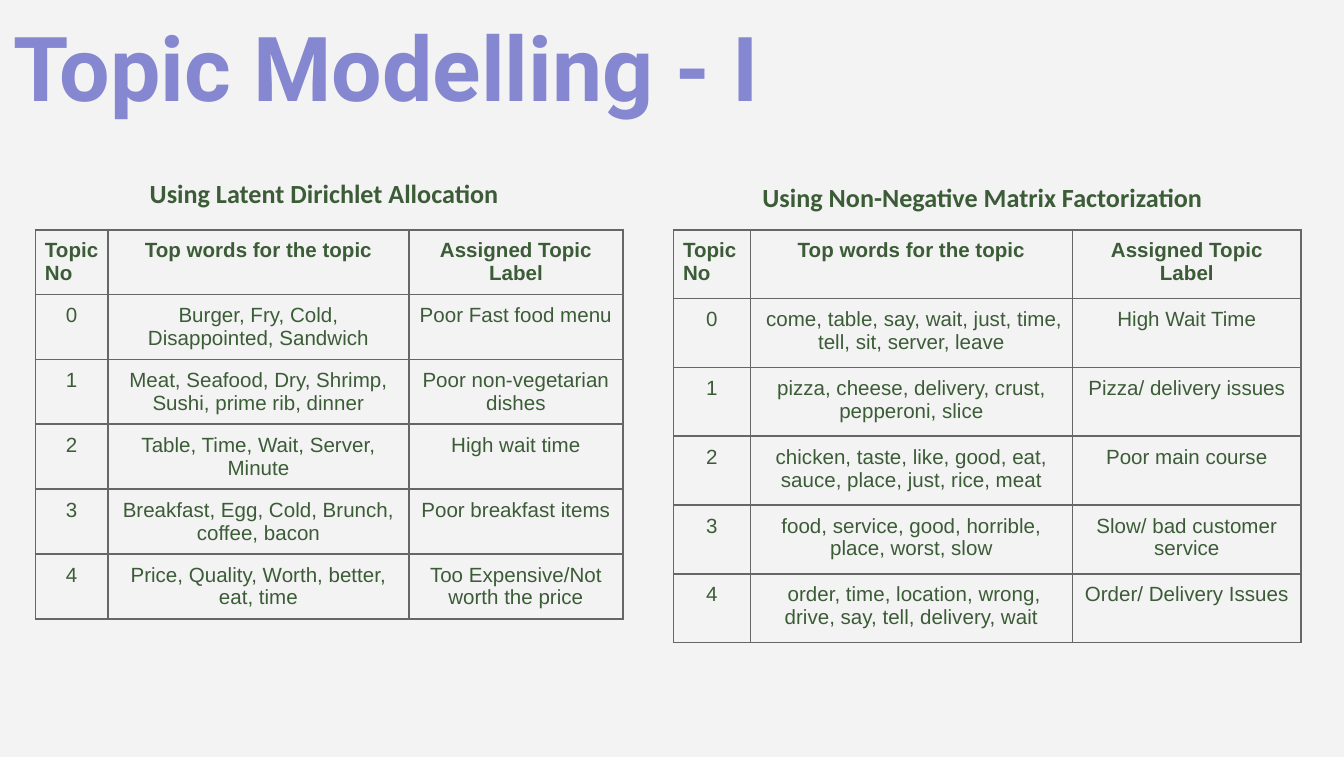
from dataclasses import dataclass

from lxml import etree
from pptx import Presentation
from pptx.dml.color import RGBColor
from pptx.enum.text import MSO_ANCHOR, MSO_AUTO_SIZE, PP_ALIGN
from pptx.oxml.ns import qn
from pptx.util import Cm, Pt

LEFT, CENTER = PP_ALIGN.LEFT, PP_ALIGN.CENTER
TOP, BOTTOM = MSO_ANCHOR.TOP, MSO_ANCHOR.BOTTOM
NO_AUTOFIT = MSO_AUTO_SIZE.NONE
TITLE_ONLY = 5

TITLE = "Topic Modelling - I"
HEADER = ("Topic No", "Top words for the topic", "Assigned Topic Label")
MODELS = [
    {
        "heading": "Using Latent Dirichlet Allocation",
        "heading_box": (2.58, 3.1, 7.29, 1.24),
        "table_left": 0.67,
        "columns": (1.37, 5.69, 4.04),
        "row_height": 0.79,
        "topics": [
            ("Burger, Fry, Cold, Disappointed, Sandwich", "Poor Fast food menu"),
            ("Meat, Seafood, Dry, Shrimp, Sushi, prime rib, dinner", "Poor non-vegetarian dishes"),
            ("Table, Time, Wait, Server, Minute", "High wait time"),
            ("Breakfast, Egg, Cold, Brunch, coffee, bacon", "Poor breakfast items"),
            ("Price, Quality, Worth, better, eat, time", "Too Expensive/Not worth the price"),
        ],
    },
    {
        "heading": "Using Non-Negative Matrix Factorization",
        "heading_box": (14.16, 3.18, 8.99, 1.07),
        "table_left": 12.73,
        "columns": (1.45, 6.09, 4.32),
        "row_height": 1.3,
        "topics": [
            (" come, table, say, wait, just, time, tell, sit, server, leave", "High Wait Time"),
            ("pizza, cheese, delivery, crust, pepperoni, slice", "Pizza/ delivery issues"),
            ("chicken, taste, like, good, eat, sauce, place, just, rice, meat", "Poor main course"),
            ("food, service, good, horrible, place, worst, slow", "Slow/ bad customer service"),
            (" order, time, location, wrong, drive, say, tell, delivery, wait", "Order/ Delivery Issues"),
        ],
    },
]
TABLE_TOP = 4.34


@dataclass(frozen=True)
class Theme:
    background: str = "F3F3F3"
    title: str = "8687D1"
    text: str = "3B5C36"
    border: str = "666666"
    border_width: int = 1
    title_font: str = "Roboto"
    heading_font: str = "Calibri"
    table_font: str = "Arial"
    title_size: int = 48
    heading_size: int = 14
    table_size: int = 11
    text_inset: float = 0.25
    cell_inset: float = 0.18


THEME = Theme()


def write(frame, text, font, size, color, bold=True, align=LEFT):
    paragraph = frame.paragraphs[0]
    paragraph.alignment = align
    run = paragraph.add_run()
    run.text = text
    run.font.name = font
    run.font.size = Pt(size)
    run.font.bold = bold
    run.font.color.rgb = RGBColor.from_string(color)


def set_insets(target, inset):
    target.margin_left = target.margin_right = Cm(inset)
    target.margin_top = target.margin_bottom = Cm(inset)


def format_frame(frame, anchor):
    frame.word_wrap = True
    frame.auto_size = NO_AUTOFIT
    frame.vertical_anchor = anchor
    set_insets(frame, THEME.text_inset)


def add_borders(cell):
    properties = cell._tc.get_or_add_tcPr()
    for side in ("a:lnL", "a:lnR", "a:lnT", "a:lnB"):
        line = etree.SubElement(properties, qn(side), w=str(Pt(THEME.border_width)))
        fill = etree.SubElement(line, qn("a:solidFill"))
        etree.SubElement(fill, qn("a:srgbClr"), val=THEME.border)


def add_title(slide, width):
    title = slide.shapes.title
    title.left, title.top, title.width, title.height = 0, 0, width, Cm(2.51)
    format_frame(title.text_frame, BOTTOM)
    write(title.text_frame, TITLE, THEME.title_font, THEME.title_size, THEME.title)


def add_heading(slide, model):
    heading = slide.shapes.add_textbox(*map(Cm, model["heading_box"]))
    format_frame(heading.text_frame, TOP)
    write(heading.text_frame, model["heading"], THEME.heading_font, THEME.heading_size, THEME.text)


def add_topic_table(slide, model):
    rows = [HEADER] + [(str(number), *topic) for number, topic in enumerate(model["topics"])]
    columns, row_height = model["columns"], model["row_height"]
    table = slide.shapes.add_table(
        len(rows), len(columns), Cm(model["table_left"]), Cm(TABLE_TOP),
        Cm(sum(columns)), Cm(row_height * len(rows)),
    ).table
    table.first_row = table.horz_banding = False
    for column, width in zip(table.columns, columns):
        column.width = Cm(width)
    for r, row in enumerate(rows):
        table.rows[r].height = Cm(row_height)
        for c, text in enumerate(row):
            cell = table.cell(r, c)
            set_insets(cell, THEME.cell_inset)
            add_borders(cell)
            cell.fill.background()
            align = LEFT if r == c == 0 else CENTER
            write(cell.text_frame, text, THEME.table_font, THEME.table_size,
                  THEME.text, bold=r == 0, align=align)


def main():
    deck = Presentation()
    deck.slide_width, deck.slide_height = Cm(25.4), Cm(14.3)
    slide = deck.slides.add_slide(deck.slide_layouts[TITLE_ONLY])
    background = slide.background.fill
    background.solid()
    background.fore_color.rgb = RGBColor.from_string(THEME.background)
    for model in MODELS:
        add_topic_table(slide, model)
    for model in MODELS:
        add_heading(slide, model)
    add_title(slide, deck.slide_width)
    deck.save("out.pptx")


if __name__ == "__main__":
    main()
